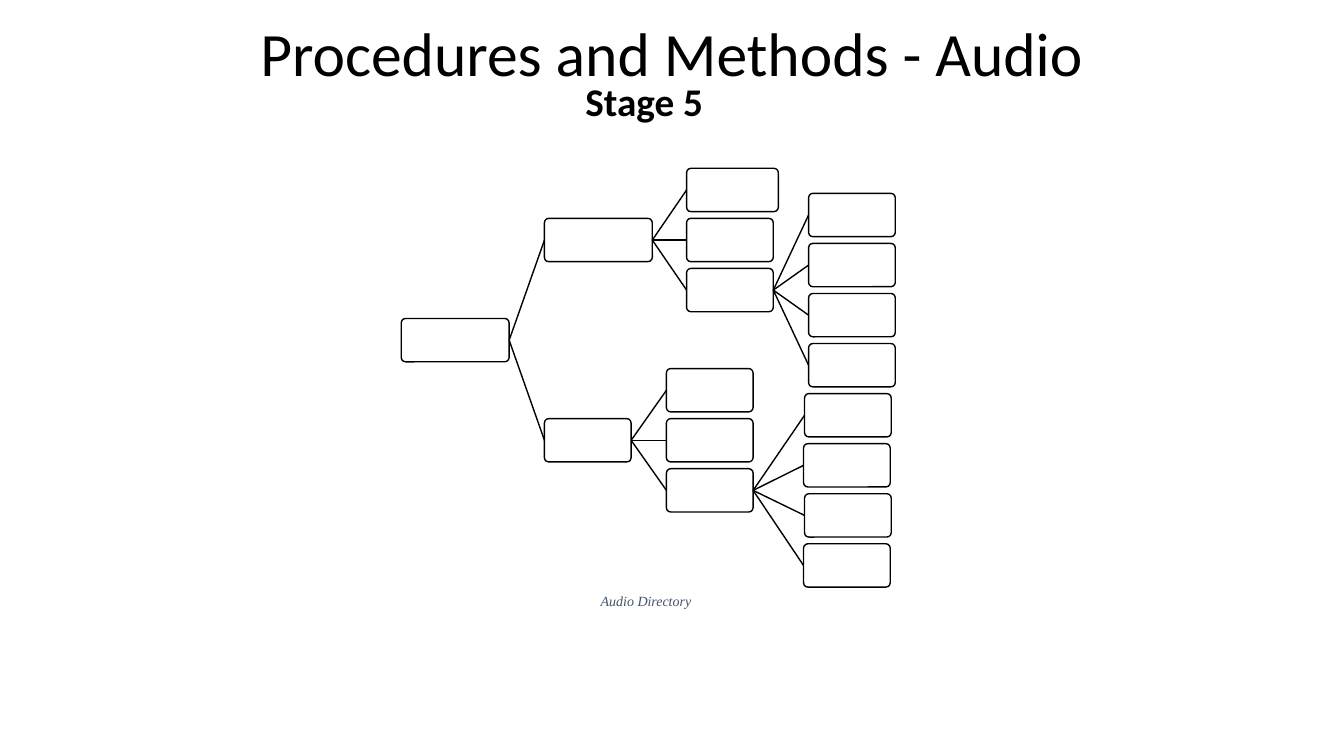
from pptx import Presentation
from pptx import util as u
from pptx.dml.color import RGBColor
from pptx.enum import shapes, text
from pptx.oxml import parse_xml
from pptx.oxml.ns import nsdecls

TOP, HIGH = 1.67, 0.43
STEP = (4.65 - TOP) / 6
WIDE, SLIM = 1.07, 0.86


def color(code):
    return RGBColor.from_string(code)


def write(frame, words, size=18, font="Calibri", ink="000000", bold=False,
          italic=False, align=None, lead=None, before=None, after=None,
          indent=None, wrap=True):
    frame.word_wrap = wrap
    frame.auto_size = text.MSO_AUTO_SIZE.SHAPE_TO_FIT_TEXT
    frame.vertical_anchor = text.MSO_ANCHOR.TOP
    para = frame.paragraphs[0]
    para.alignment, para.line_spacing = align, lead
    para.space_before, para.space_after = before, after
    if indent is not None:
        props = para._p.get_or_add_pPr()
        props.set("marL", str(u.Inches(indent)))
        props.set("indent", "0")
    run = para.add_run()
    run.text = words
    face = run.font
    face.size, face.name = u.Pt(size), font
    face.bold, face.italic = bold, italic
    face.color.rgb = color(ink)


class Sketch:
    ink, paper, stroke = "000000", "FFFFFF", 1

    def __init__(self, deck):
        self.slide = deck.slides.add_slide(deck.slide_layouts[5])

    def title(self, x, y, w, h, words, **style):
        head = self.slide.shapes.title
        head.left, head.top, head.width, head.height = map(u.Inches, (x, y, w, h))
        write(head.text_frame, words, **style)

    def label(self, x, y, w, h, words, **style):
        box = self.slide.shapes.add_textbox(*map(u.Inches, (x, y, w, h)))
        write(box.text_frame, words, **style)

    def outline(self, line):
        line.color.rgb = color(self.ink)
        line.width = u.Pt(self.stroke)

    def box(self, x, y, w, h):
        box = self.slide.shapes.add_shape(
            shapes.MSO_SHAPE.ROUNDED_RECTANGLE, *map(u.Inches, (x, y, w, h)))
        box.adjustments[0] = 0.1
        box.shadow.inherit = False
        box.fill.solid()
        box.fill.fore_color.rgb = color(self.paper)
        self.outline(box.line)

    def link(self, start, end):
        line = self.slide.shapes.add_connector(
            shapes.MSO_CONNECTOR.STRAIGHT, *map(u.Inches, (*start, *end)))
        self.outline(line.line)
        line._element.spPr.append(parse_xml(f"<a:effectLst {nsdecls('a')}/>"))

    def tree(self, node, source=None):
        """Draw a (left, row, width, children) node and all below it."""
        x, row, w, kids = node
        y = TOP + row * STEP
        mid = y + HIGH / 2
        if source:
            self.link(source, (x, mid))
        self.box(x, y, w, HIGH)
        for kid in kids:
            self.tree(kid, (x + w, mid))


def leaves(lefts, first):
    return [(x, first + i, SLIM, []) for i, x in enumerate(lefts)]


def main():
    deck = Presentation()
    deck.slide_width, deck.slide_height = u.Inches(13.33), u.Inches(7.5)
    page = Sketch(deck)
    mid = text.PP_ALIGN.CENTER
    page.title(2.16, -0.27, 9.01, 1.1, "Procedures and Methods - Audio",
               size=44, align=mid, lead=1.5, after=u.Pt(8))
    page.label(2.56, 0.48, 6.66, 0.73, "Stage 5", size=28, bold=True,
               align=mid, lead=1.5, indent=1)

    upper = (5.4, 1, WIDE, [
        (6.81, 0, 0.91, []),
        (6.81, 1, SLIM, []),
        (6.81, 2, SLIM, leaves([8.02] * 4, 0.5))])
    lower = (5.4, 5, SLIM, [
        (6.61, 4, SLIM, []),
        (6.61, 5, SLIM, []),
        (6.61, 6, SLIM, leaves([7.98, 7.97] * 2, 4.5))])
    page.tree((3.98, 3, WIDE, [upper, lower]))

    page.label(5.86, 5.83, 1.14, 0.27, "Audio Directory", size=10,
               font="Times New Roman", ink="44546A", italic=True, wrap=False)
    deck.save("out.pptx")


if __name__ == "__main__":
    main()
